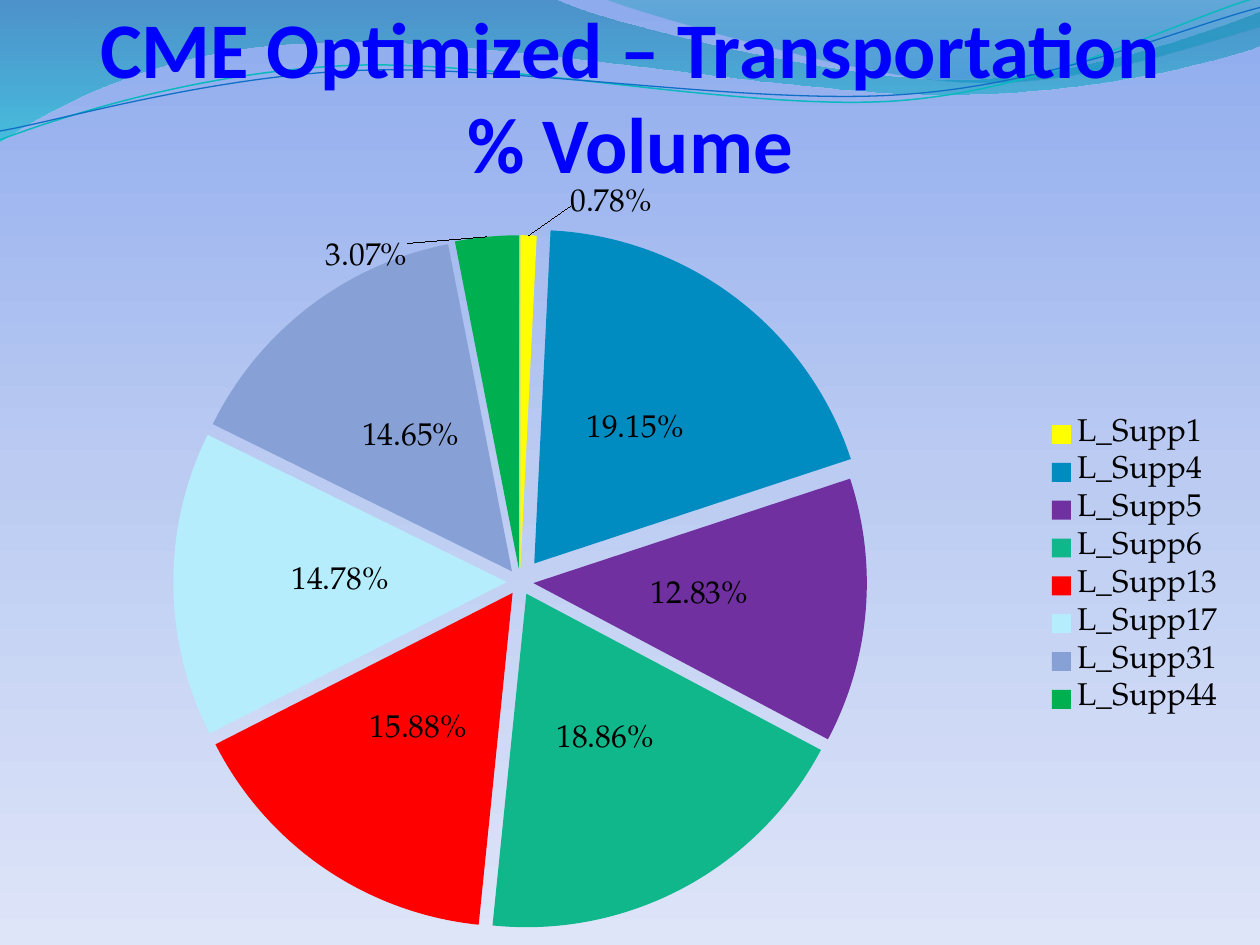
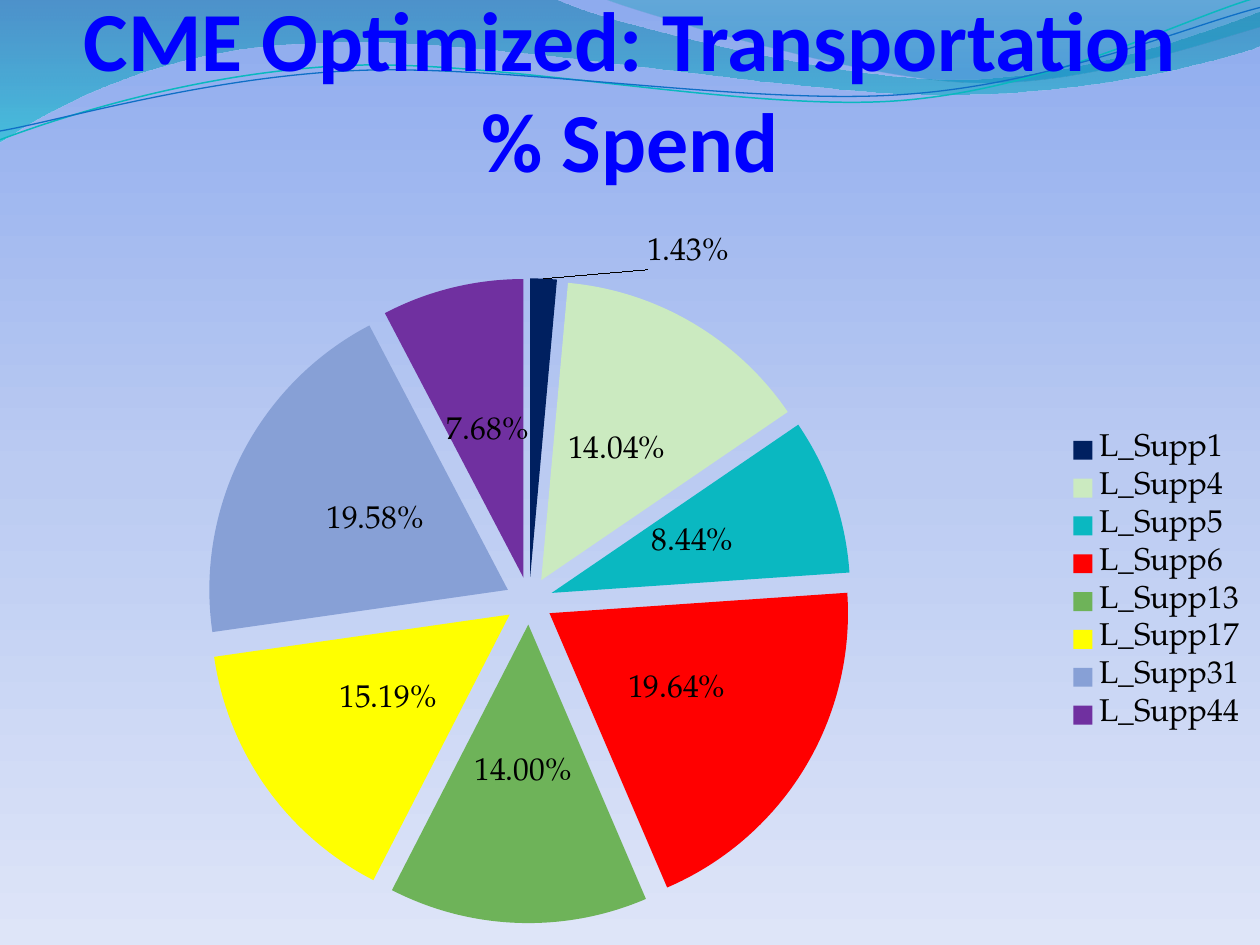
from math import cos, radians, sin

from lxml.etree import SubElement
from pptx import Presentation
from pptx.chart.data import CategoryChartData
from pptx.dml.color import RGBColor
from pptx.enum.chart import XL_CHART_TYPE, XL_LABEL_POSITION, XL_LEGEND_POSITION
from pptx.enum.text import MSO_ANCHOR, MSO_AUTO_SIZE, PP_ALIGN
from pptx.oxml import parse_xml
from pptx.oxml.ns import nsdecls, qn
from pptx.util import Inches, Pt

# Colours
BLACK = RGBColor(0x00, 0x00, 0x00)
TITLE_BLUE = RGBColor(0x00, 0x00, 0xFF)
SKY_TOP = RGBColor(0x8E, 0xAB, 0xEE)
SKY_MID = RGBColor(0xBB, 0xCB, 0xF2)
SKY_LOW = RGBColor(0xDE, 0xE5, 0xF8)
DEEP_TEAL = RGBColor(0x00, 0x74, 0xA1)
AQUA = RGBColor(0x00, 0xC6, 0xCF)
SEA = RGBColor(0x00, 0xA1, 0xA9)
OCEAN = RGBColor(0x00, 0x8B, 0xBF)
LINE_TEAL = RGBColor(0x0A, 0xB8, 0xBF)
LINE_BLUE = RGBColor(0x0F, 0x6F, 0xC6)
YELLOW = RGBColor(0xFF, 0xFF, 0x00)
BLUE = RGBColor(0x00, 0x8B, 0xC1)
PURPLE = RGBColor(0x70, 0x30, 0xA0)
JADE = RGBColor(0x10, 0xB7, 0x8B)
RED = RGBColor(0xFF, 0x00, 0x00)
ICE = RGBColor(0xB5, 0xED, 0xFD)
PERIWINKLE = RGBColor(0x87, 0xA0, 0xD6)
GREEN = RGBColor(0x00, 0xB0, 0x50)
NAVY = RGBColor(0x00, 0x20, 0x60)
PALE_GREEN = RGBColor(0xCB, 0xEA, 0xC0)
TURQUOISE = RGBColor(0x0A, 0xB8, 0xC1)
LEAF = RGBColor(0x6E, 0xB3, 0x59)

# Grid and fonts
COLUMNS, ROWS = 10, 7.5
TITLE_FONT, CHART_FONT = "Calibri", "TeX Gyre Pagella"
LABEL_SIZE = Pt(18)
PERCENT = "0.00%"

# Wave outlines in columns and rows: a start, then lines (2 numbers) and curves (6)
BAND = [(0, 0), (4.4, -0.01), (4.76, 0.17, 6.64, 0.63, 7.58, 0.63),
        (8.53, 0.63, 9.58, 0.26, 10, 0.09), (10.01, 0.36),
        (9.83, 0.44, 8.7, 0.76, 7.46, 0.75), (6.22, 0.75, 3.82, 0.28, 2.57, 0.34),
        (1.29, 0.36, 0.46, 0.83, -0.01, 1.13)]
CREST = [(4.79, -0.01), (5.09, 0.11, 6.82, 0.62, 7.69, 0.65),
         (8.56, 0.69, 9.61, 0.32, 10, 0.21), (10, 0)]
UPPER_LINE = [(0, 1.11), (0.48, 0.93, 1.58, 0.57, 2.77, 0.52),
              (3.95, 0.47, 5.93, 0.89, 7.13, 0.8), (8.33, 0.71, 9.38, 0.15, 9.98, -0.02)]
LOWER_LINE = [(0, 1.04), (0.47, 0.96, 1.64, 0.61, 2.83, 0.56),
              (4.03, 0.51, 5.97, 0.84, 7.17, 0.75), (8.36, 0.67, 9.41, 0.21, 10, 0.06)]
PIVOT = (5, 0.58)
LINE_TILT = -2.7

SUPPLIERS = [f"L_Supp{n}" for n in (1, 4, 5, 6, 13, 17, 31, 44)]


def turn(point, degrees):
    """Turn a point clockwise about the pivot."""
    c, s = cos(radians(degrees)), sin(radians(degrees))
    dx, dy = point[0] - PIVOT[0], point[1] - PIVOT[1]
    return PIVOT[0] + dx * c - dy * s, PIVOT[1] + dx * s + dy * c


def bend(sp, outline):
    """Merge each three straight steps of a curve into one cubic curve."""
    steps = iter(sp.element.findall(".//" + qn("a:lnTo")))
    for seg in outline[1:]:
        step = next(steps)
        if len(seg) == 6:
            step.tag  # first control point marks the place of the curve
            curve = parse_xml(f'<a:cubicBezTo {nsdecls("a")}/>')
            step.addprevious(curve)
            for part in (step, next(steps), next(steps)):
                curve.append(part[0])
                part.getparent().remove(part)


def set_gradient(fill, element, stops):
    """Downward gradient; stops are (position %, colour, opacity %)."""
    fill.gradient()
    fill.gradient_angle = 270
    stop_list = element.find(".//" + qn("a:gsLst"))
    for old in list(stop_list):
        stop_list.remove(old)
    for position, colour, opacity in stops:
        stop = SubElement(stop_list, qn("a:gs"), pos=str(position * 1000))
        rgb = SubElement(stop, qn("a:srgbClr"), val=str(colour))
        if opacity < 100:
            SubElement(rgb, qn("a:alpha"), val=str(opacity * 1000))


class Deck:
    def __init__(self):
        self.prs = Presentation()
        self.prs.slide_width, self.prs.slide_height = Inches(10), Inches(7.5)
        self.col = self.prs.slide_width / COLUMNS
        self.row = self.prs.slide_height / ROWS
        self.slide = None
        self.wave_count = 0

    def at(self, x, y):
        return round(x * self.col), round(y * self.row)

    def box(self, left, top, width, height):
        return self.at(left, top) + self.at(width, height)

    def add_slide(self):
        self.slide = self.prs.slides.add_slide(self.prs.slide_layouts[5])

    def background(self):
        master = self.prs.slide_master
        set_gradient(master.background.fill, master.element,
                     [(0, SKY_TOP, 100), (50, SKY_MID, 100), (100, SKY_LOW, 100)])

    def wave(self, outline, stops=None, line=None, width=0, tilt=0):
        """Draw a wave and place it on the master, behind everything."""
        points = [self.at(*turn(seg[i:i + 2], -tilt))
                  for seg in outline for i in range(0, len(seg), 2)]
        builder = self.slide.shapes.build_freeform(*points[0])
        builder.add_line_segments(points[1:], close=stops is not None)
        sp = builder.convert_to_shape()
        bend(sp, outline)
        sp.rotation = tilt
        sp.shadow.inherit = False
        if stops:
            set_gradient(sp.fill, sp.element, stops)
            sp.line.fill.background()
        else:
            sp.fill.background()
            sp.line.color.rgb = line
            sp.line.width = Pt(width)
        sp.element.nvSpPr.cNvPr.set("id", str(100 + self.wave_count))
        self.prs.slide_master.shapes.element.insert(2 + self.wave_count, sp.element)
        self.wave_count += 1

    def title(self, text, size):
        sp = self.slide.shapes.title
        self.slide.shapes.element.append(sp.element)
        sp.left, sp.top, sp.width, sp.height = self.box(0, 0, COLUMNS, 1.5)
        tf = sp.text_frame
        tf.auto_size = MSO_AUTO_SIZE.NONE
        tf.word_wrap = True
        tf.vertical_anchor = MSO_ANCHOR.BOTTOM
        tf.margin_left = tf.margin_right = tf.margin_bottom = 0
        tf.margin_top = Inches(0.05)
        p = tf.paragraphs[0]
        p.text = text
        p.alignment = PP_ALIGN.CENTER
        p.font.name, p.font.size, p.font.bold = TITLE_FONT, Pt(size), True
        p.font.color.rgb = TITLE_BLUE

    def pie(self, box, plot_area, values, colours, explosion, moved_labels, pulled=None):
        """Pie; plot_area and moved_labels are shares of the chart's size."""
        data = CategoryChartData(number_format=PERCENT)
        data.categories = SUPPLIERS
        data.add_series("Series 1", values)
        chart = self.slide.shapes.add_chart(XL_CHART_TYPE.PIE, *self.box(*box), data).chart
        chart.has_title = False
        chart.font.name, chart.font.size = CHART_FONT, Pt(10)
        chart.font.color.rgb = BLACK
        chart.has_legend = True
        chart.legend.position = XL_LEGEND_POSITION.RIGHT
        chart.legend.include_in_layout = False
        self.chart_font(chart.legend.font)
        plot = chart.plots[0]
        plot.vary_by_categories = True
        self.place_plot(chart, plot_area)

        # Slices
        series = plot.series[0]
        series._element.find(qn("c:tx")).addnext(self.explosion(explosion))
        for i, colour in enumerate(colours):
            fill = series.points[i].format.fill
            fill.solid()
            fill.fore_color.rgb = colour
        for i, distance in (pulled or {}).items():
            slices = series._element.findall(qn("c:dPt"))
            slices[i].find(qn("c:spPr")).addprevious(self.explosion(distance))

        # Labels
        labels = series.data_labels
        labels.show_value = True
        labels.number_format, labels.number_format_is_linked = PERCENT, False
        labels.position = XL_LABEL_POSITION.CENTER
        self.chart_font(labels.font)
        for i, (dx, dy) in moved_labels.items():
            label = series.points[i].data_label
            self.chart_font(label.font)
            label.position = XL_LABEL_POSITION.CENTER
            idx = next(d for d in series._element.iter(qn("c:idx"))
                       if d.getparent().tag == qn("c:dLbl") and d.get("val") == str(i))
            idx.addnext(parse_xml(
                f'<c:numFmt {nsdecls("c")} formatCode="{PERCENT}" sourceLinked="0"/>'))
            idx.addnext(parse_xml(
                f'<c:layout {nsdecls("c")}><c:manualLayout>'
                f'<c:x val="{dx}"/><c:y val="{dy}"/></c:manualLayout></c:layout>'))

    def explosion(self, distance):
        return parse_xml(f'<c:explosion {nsdecls("c")} val="{distance}"/>')

    def chart_font(self, font):
        font.name, font.size = CHART_FONT, LABEL_SIZE
        font.color.rgb = BLACK

    def place_plot(self, chart, plot_area):
        area = chart._chartSpace.find(".//" + qn("c:plotArea"))
        for old in area.findall(qn("c:layout")):
            area.remove(old)
        sizes = "".join(f'<c:{k} val="{v}"/>' for k, v in zip("xywh", plot_area))
        area.insert(0, parse_xml(
            f'<c:layout {nsdecls("c")}><c:manualLayout><c:layoutTarget val="inner"/>'
            f'<c:xMode val="edge"/><c:yMode val="edge"/>{sizes}'
            f'</c:manualLayout></c:layout>'))


def main():
    deck = Deck()
    deck.background()

    # Volume slide, with the shared waves
    deck.add_slide()
    deck.wave(BAND, stops=[(0, DEEP_TEAL, 45), (100, AQUA, 55)])
    deck.wave(CREST, stops=[(0, SEA, 30), (80, OCEAN, 45)])
    deck.wave(UPPER_LINE, line=LINE_TEAL, width=0.85, tilt=LINE_TILT)
    deck.wave(LOWER_LINE, line=LINE_BLUE, width=0.75, tilt=LINE_TILT)
    deck.pie((0, 1.5, 9.83, 6), (0.14, 0.06, 0.56, 0.92),
             [0.0078, 0.1915, 0.1283, 0.1886, 0.1588, 0.1478, 0.1465, 0.0307],
             [YELLOW, BLUE, PURPLE, JADE, RED, ICE, PERIWINKLE, GREEN],
             explosion=4, moved_labels={0: (0.07, -0.28), 7: (-0.11, -0.19)},
             pulled={1: 7})
    deck.title("CME Optimized – Transportation\v% Volume", 45)

    # Spend slide
    deck.add_slide()
    deck.pie((0, 1.75, COLUMNS, 5.75), (0.16, 0.08, 0.52, 0.89),
             [0.0143, 0.1404, 0.0844, 0.1964, 0.14, 0.1519, 0.1958, 0.0768],
             [NAVY, PALE_GREEN, TURQUOISE, RED, LEAF, YELLOW, PERIWINKLE, PURPLE],
             explosion=8, moved_labels={0: (0.12, -0.24)})
    deck.title("CME Optimized: Transportation\v% Spend", 48)

    deck.prs.save("out.pptx")


if __name__ == "__main__":
    main()
